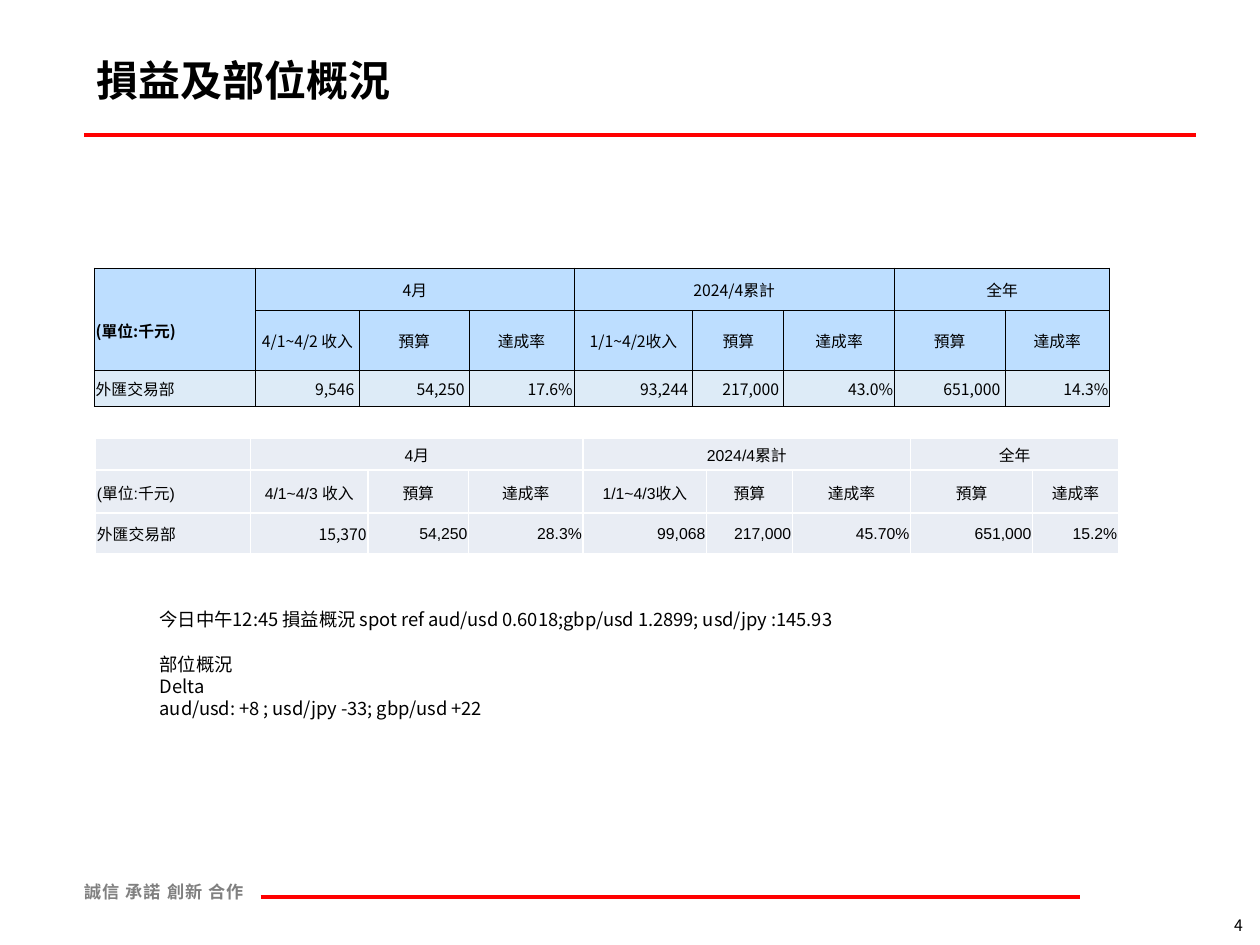
"""Build the profit and position overview slide with its two income tables."""
from dataclasses import dataclass, field
from typing import Any

from lxml.etree import SubElement
from pptx import Presentation
from pptx.dml.color import RGBColor
from pptx.enum.shapes import MSO_CONNECTOR
from pptx.enum.text import MSO_ANCHOR, MSO_AUTO_SIZE, PP_ALIGN
from pptx.oxml.ns import qn
from pptx.util import Pt

CJK_FONT = "Noto Sans CJK SC"
GROUP_STARTS = {1: 3, 4: 3, 7: 2}
UNIT_LABEL = "(單位:千元)"


@dataclass
class Label:
    text: str
    box: tuple[float, float, float, float]
    size: float
    color: str = "000000"
    bold: bool = False
    align: PP_ALIGN = PP_ALIGN.LEFT
    margins: tuple[float, float] = (7.2, 3.6)
    line_spacing: float | None = None
    gap_before: dict[int, float] = field(default_factory=dict)
    tracking: int = 0


@dataclass
class IncomeTable:
    left: float
    top: float
    columns: list[float]
    row_heights: list[float]
    rows: list[list[str]]
    fills: list[str]
    border_color: str
    thin: float
    font: str
    number_margin: float
    unit_spans_header: bool = False
    font_exceptions: dict[str, str] = field(default_factory=dict)


def rgb(color: str) -> RGBColor:
    return RGBColor.from_string(color)


def apply_format(target: Any, values: dict[str, Any]) -> None:
    for name, value in values.items():
        setattr(target, name, value)


def add_run(paragraph: Any, text: str, size: float, color: str = "000000",
            bold: bool = False, font: str = CJK_FONT) -> Any:
    run = paragraph.add_run()
    run.text = text
    apply_format(run.font, {"name": font, "size": Pt(size), "bold": bold})
    run.font.color.rgb = rgb(color)
    SubElement(run._r.get_or_add_rPr(), qn("a:ea"), typeface=CJK_FONT)
    return run


def write_label(shape: Any, label: Label, anchor: MSO_ANCHOR = MSO_ANCHOR.TOP) -> None:
    apply_format(shape, dict(zip(("left", "top", "width", "height"), map(Pt, label.box))))
    horizontal, vertical = map(Pt, label.margins)
    apply_format(shape.text_frame, {
        "word_wrap": True, "auto_size": MSO_AUTO_SIZE.NONE, "vertical_anchor": anchor,
        "margin_left": horizontal, "margin_right": horizontal,
        "margin_top": vertical, "margin_bottom": vertical,
    })
    for index, text in enumerate(label.text.split("\n")):
        frame = shape.text_frame
        paragraph = frame.add_paragraph() if index else frame.paragraphs[0]
        paragraph.alignment = label.align
        if label.line_spacing:
            paragraph.line_spacing = Pt(label.line_spacing)
        if index in label.gap_before:
            paragraph.space_before = Pt(label.gap_before[index])
        run = add_run(paragraph, text, label.size, label.color, label.bold)
        if label.tracking:
            run._r.get_or_add_rPr().set("spc", str(label.tracking))


def add_label(slide: Any, label: Label) -> None:
    write_label(slide.shapes.add_textbox(*map(Pt, label.box)), label)


def add_rule(slide: Any, left: float, right: float, top: float) -> None:
    rule = slide.shapes.add_connector(
        MSO_CONNECTOR.STRAIGHT, Pt(left), Pt(top), Pt(right), Pt(top))
    rule.line.color.rgb = rgb("FF0000")
    rule.line.width = Pt(2.25)
    SubElement(rule._element.spPr, qn("a:effectLst"))


def set_borders(cell: Any, color: str, widths: dict[str, float]) -> None:
    properties = cell._tc.get_or_add_tcPr()
    for position, (side, width) in enumerate(widths.items()):
        line = properties.makeelement(qn(f"a:ln{side}"), {"w": str(int(Pt(width)))})
        fill = SubElement(line, qn("a:solidFill"))
        SubElement(fill, qn("a:srgbClr"), val=color)
        properties.insert(position, line)


def cell_alignment(row: int, column: int) -> PP_ALIGN:
    if column == 0:
        return PP_ALIGN.LEFT
    return PP_ALIGN.RIGHT if row == 2 else PP_ALIGN.CENTER


def write_cell(cell: Any, spec: IncomeTable, row: int, column: int) -> None:
    text = spec.rows[row][column]
    is_unit = spec.unit_spans_header and text == UNIT_LABEL
    is_number = row == 2 and column > 0 and not text.endswith("%")
    apply_format(cell, {
        "margin_left": Pt(0.72), "margin_bottom": Pt(0),
        "margin_right": Pt(spec.number_margin if is_number else 0.72),
        "margin_top": Pt(13.5 if is_unit else 0.72),
        "vertical_anchor": MSO_ANCHOR.MIDDLE,
    })
    cell.fill.solid()
    cell.fill.fore_color.rgb = rgb(spec.fills[row])
    edges = {0, 7, len(spec.columns)}
    set_borders(cell, spec.border_color, {
        "L": 1 if column in edges else spec.thin,
        "R": 1 if column + 1 in edges else spec.thin,
        "T": spec.thin if row else 1,
        "B": spec.thin,
    })
    paragraph = cell.text_frame.paragraphs[0]
    paragraph.alignment = cell_alignment(row, column)
    if text:
        font = spec.font_exceptions.get(text, spec.font)
        add_run(paragraph, text, 9, bold=is_unit, font=font)
    else:
        SubElement(paragraph._p, qn("a:endParaRPr"), sz="900")


def add_income_table(slide: Any, spec: IncomeTable) -> None:
    frame = slide.shapes.add_table(
        len(spec.rows), len(spec.columns), Pt(spec.left), Pt(spec.top),
        Pt(sum(spec.columns)), Pt(sum(spec.row_heights)))
    table = frame.table
    for column, width in zip(table.columns, spec.columns):
        column.width = Pt(width)
    for row, height in zip(table.rows, spec.row_heights):
        row.height = Pt(height)
    for row in range(len(spec.rows)):
        for column in range(len(spec.columns)):
            write_cell(table.cell(row, column), spec, row, column)
    for start, span in GROUP_STARTS.items():
        table.cell(0, start).merge(table.cell(0, start + span - 1))
    if spec.unit_spans_header:
        table.cell(0, 0).merge(table.cell(1, 0))


def income_rows(corner: str, unit: str, day: str, values: list[str]) -> list[list[str]]:
    return [
        [corner, "4月", "", "", "2024/4累計", "", "", "全年", ""],
        [unit, f"4/1~{day} 收入", "預算", "達成率", f"1/1~{day}收入", "預算", "達成率",
         "預算", "達成率"],
        ["外匯交易部", *values],
    ]


TITLE = Label("損益及部位概況", (48.2, 18, 633.6, 54.7), 24, bold=True)
LABELS = [
    Label("誠信 承諾 創新 合作", (43.2, 501, 136, 17.3), 9.8, "808080", True,
          margins=(5, 2.9), tracking=60),
    Label("4", (632.2, 519.8, 85, 18), 9, align=PP_ALIGN.RIGHT),
    Label("今日中午12:45 損益概況 spot ref aud/usd 0.6018;gbp/usd 1.2899; usd/jpy :145.93\n"
          "部位概況\nDelta\naud/usd: +8 ; usd/jpy -33; gbp/usd +22",
          (84.2, 344.2, 505.4, 83.5), 10.5, line_spacing=12.6, gap_before={1: 12.6}),
]
TABLES = [
    IncomeTable(
        54, 153.4, [92.2, 59, 63, 59.8, 68, 52, 63.2, 63.2, 59.8], [24, 34, 21],
        income_rows(UNIT_LABEL, "", "4/2", ["9,546", "54,250", "17.6%", "93,244",
                                            "217,000", "43.0%", "651,000", "14.3%"]),
        ["BDDEFF", "BDDEFF", "DDEBF7"], "000000", 0.5, CJK_FONT, 2.7, True),
    IncomeTable(
        54.7, 250.6, [88.5, 67, 57.6, 65.4, 70.6, 49, 67.6, 69.8, 49], [18, 24.6, 23],
        income_rows("", UNIT_LABEL, "4/3", ["15,370", "54,250", "28.3%", "99,068",
                                            "217,000", "45.70%", "651,000", "15.2%"]),
        ["E9EDF4"] * 3, "FFFFFF", 1, "Arial", 0.72,
        font_exceptions={"15,370": CJK_FONT}),
]


def main() -> None:
    presentation = Presentation()
    apply_format(presentation, {"slide_width": Pt(720), "slide_height": Pt(540)})
    slide = presentation.slides.add_slide(presentation.slide_layouts[5])
    add_rule(slide, 48.2, 683.3, 77)
    add_rule(slide, 149, 617, 512.6)
    write_label(slide.shapes.title, TITLE, MSO_ANCHOR.MIDDLE)
    for table in TABLES:
        add_income_table(slide, table)
    for label in LABELS:
        add_label(slide, label)
    presentation.save("out.pptx")


if __name__ == "__main__":
    main()
